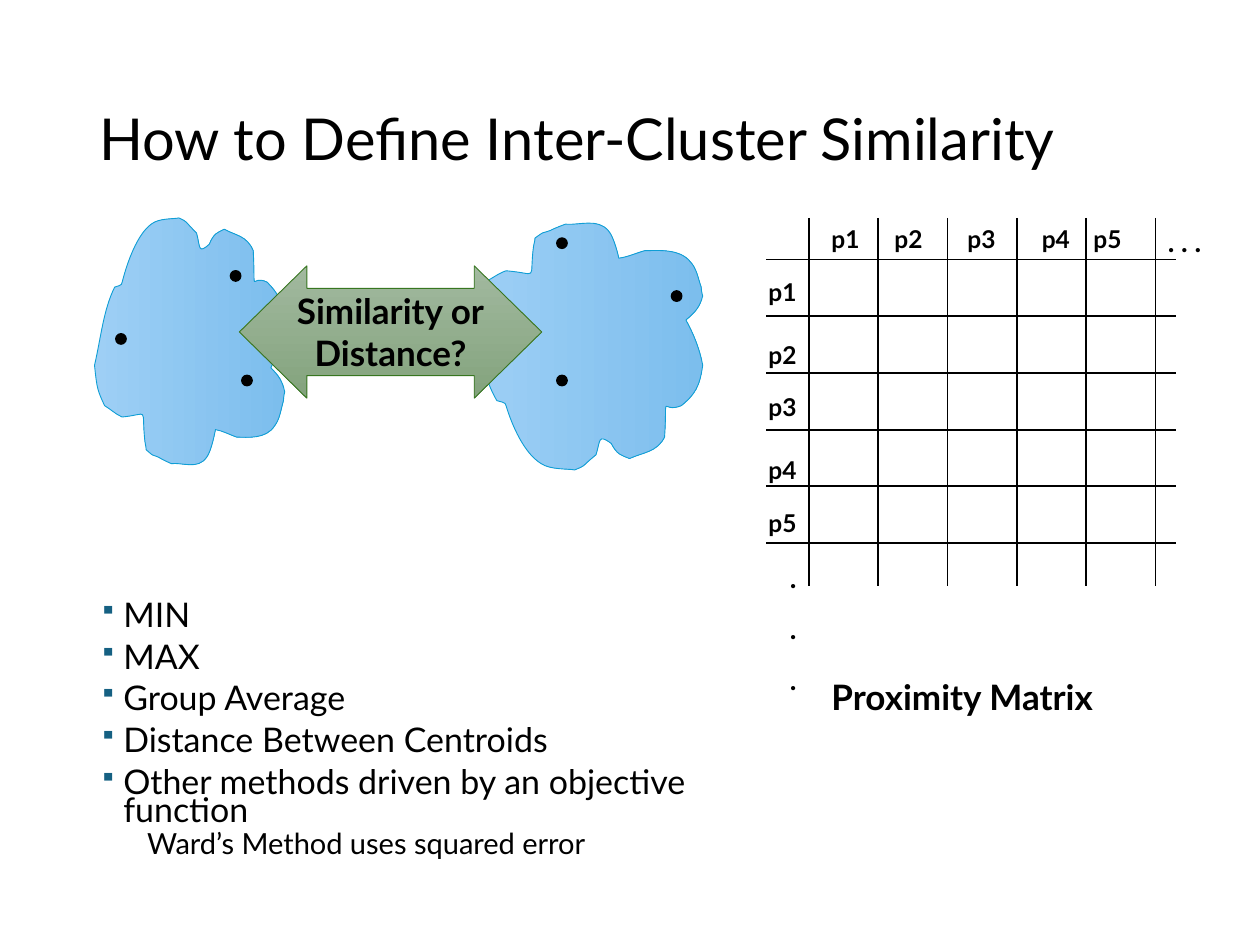
from dataclasses import dataclass

from lxml.etree import SubElement as Sub
from pptx import Presentation
from pptx.dml.color import RGBColor as Rgb
from pptx.enum.shapes import MSO_CONNECTOR as Conn, MSO_SHAPE as Shape
from pptx.enum.text import MSO_ANCHOR as Anchor, PP_ALIGN as Align
from pptx.oxml.ns import qn
from pptx.util import Inches, Pt


@dataclass(frozen=True)
class Theme:
    font: str = "Lato"
    ink: str = "000000"
    bullet: str = "156082"
    blue: tuple = ("9ECFF5", "7CBEED")
    rim: str = "0F9ED5"
    green: tuple = ("A2B99F", "83A37D")
    edge: str = "377620"
    title: float = 33
    body: float = 19.4
    minor: float = 16.6
    label: float = 14
    dots: float = 16
    strong: float = 20


THEME = Theme()
START = (0.91, 2.28)
CURVES = [
    (0.82, 2.46, 0.8, 2.69, 0.75, 2.9),
    (0.77, 3.08, 0.77, 3.09, 0.83, 3.22),
    (0.88, 3.25, 0.92, 3.29, 0.97, 3.31),
    (1.19, 3.29, 1.12, 3.22, 1.15, 3.5),
    (1.15, 3.52, 1.16, 3.54, 1.16, 3.57),
    (1.23, 3.63, 1.19, 3.6, 1.26, 3.63),
    (1.29, 3.65, 1.36, 3.68, 1.36, 3.68),
    (1.45, 3.67, 1.57, 3.73, 1.64, 3.63),
    (1.68, 3.58, 1.71, 3.41, 1.71, 3.41),
    (1.77, 3.42, 1.82, 3.45, 1.88, 3.47),
    (1.96, 3.47, 2.11, 3.49, 2.18, 3.38),
    (2.22, 3.33, 2.23, 3.25, 2.25, 3.18),
    (2.25, 3.15, 2.26, 3.11, 2.26, 3.11),
    (2.24, 3.02, 2.21, 2.98, 2.15, 2.92),
    (2.2, 2.81, 2.24, 2.69, 2.26, 2.56),
    (2.24, 2.39, 2.21, 2.33, 2.12, 2.24),
    (1.98, 2.17, 2.03, 2.38, 2.01, 1.99),
    (1.96, 1.87, 1.87, 1.87, 1.78, 1.82),
    (1.72, 1.85, 1.7, 1.85, 1.66, 1.94),
    (1.57, 2.02, 1.59, 1.96, 1.56, 1.85),
    (1.45, 1.74, 1.5, 1.77, 1.42, 1.73),
    (1.38, 1.74, 1.26, 1.73, 1.2, 1.78),
    (1.09, 1.86, 1.01, 2.08, 0.97, 2.24),
    (0.97, 2.27, 0.93, 2.27, 0.91, 2.28),
]


def add_run(para, text, size, bold=False):
    run = para.add_run()
    run.text = text
    font = run.font
    font.name, font.size, font.bold = THEME.font, Pt(size), bold
    font.color.rgb = Rgb.from_string(THEME.ink)


def add_box(slide, left, top, width, height):
    box = slide.shapes.add_textbox(*map(Inches, (left, top, width, height)))
    box.text_frame.word_wrap = True
    return box.text_frame


def add_label(slide, text, left, top, width=0.58, height=0.34, size=THEME.label):
    frame = add_box(slide, left, top, width, height)
    add_run(frame.paragraphs[0], text, size, True)
    return frame


def add_line(slide, *ends):
    line = slide.shapes.add_connector(Conn.STRAIGHT, *map(Inches, ends))
    line.line.color.rgb = Rgb.from_string(THEME.ink)
    line.line.width = Pt(1)
    Sub(line._element.spPr, qn("a:effectLst"))


def shade(shape, tones, edge, angle):
    shape.shadow.inherit = False
    shape.fill.gradient()
    shape.fill.gradient_angle = angle
    for stop, tone in zip(shape.fill.gradient_stops, tones):
        stop.color.rgb = Rgb.from_string(tone)
    shape.line.color.rgb = Rgb.from_string(edge)
    shape.line.width = Pt(0.5)


def bend(shape):
    legs = list(shape._element.iter(qn("a:lnTo")))
    for i in range(0, len(legs), 3):
        curve = legs[i].makeelement(qn("a:cubicBezTo"))
        legs[i].addprevious(curve)
        for leg in legs[i:i + 3]:
            curve.append(leg[0])
            leg.getparent().remove(leg)


def add_cloud(slide, points):
    spots = [(Inches(x), Inches(y)) for x, y in points]
    pen = slide.shapes.build_freeform(*spots[0], scale=1.0)
    pen.add_line_segments(spots[1:], close=True)
    cloud = pen.convert_to_shape()
    bend(cloud)
    shade(cloud, THEME.blue, THEME.rim, 0)


def add_dot(slide, left, top):
    size = Inches(0.08)
    dot = slide.shapes.add_shape(Shape.OVAL, Inches(left), Inches(top), size, size)
    dot.shadow.inherit = False
    dot.fill.solid()
    dot.fill.fore_color.rgb = dot.line.color.rgb = Rgb.from_string(THEME.ink)
    dot.line.width = Pt(1)


def add_arrow(slide):
    arrow = slide.shapes.add_shape(
        Shape.LEFT_RIGHT_ARROW, *map(Inches, (1.9, 2.11, 2.4, 1.05)))
    arrow.adjustments[0], arrow.adjustments[1] = 0.66, 0.51
    shade(arrow, THEME.green, THEME.edge, 270)
    frame = arrow.text_frame
    frame.word_wrap = False
    frame.vertical_anchor = Anchor.MIDDLE
    para = frame.paragraphs[0]
    para.alignment = Align.CENTER
    add_run(para, "Similarity or", THEME.strong, True)
    para.add_line_break()
    add_run(para, "Distance?", THEME.strong, True)


def add_title(slide, text):
    frame = add_box(slide, 0.69, 0.4, 8.62, 1.45)
    frame.vertical_anchor = Anchor.MIDDLE
    frame.paragraphs[0].line_spacing = 0.9
    add_run(frame.paragraphs[0], text, THEME.title)


def add_list(slide, items, minor):
    frame = add_box(slide, 0.69, 4.75, 5.73, 2.01)
    for i, text in enumerate(items):
        para = frame.add_paragraph() if i else frame.paragraphs[0]
        props = para._p.get_or_add_pPr()
        props.set("marL", str(Inches(0.19)))
        props.set("indent", str(Inches(-0.19)))
        Sub(Sub(props, qn("a:buClr")), qn("a:srgbClr"), val=THEME.bullet)
        Sub(props, qn("a:buSzPct"), val="70000")
        Sub(props, qn("a:buChar"), char="▪")
        para.line_spacing = 0.7
        if i:
            para.space_before = Pt(7.5)
        add_run(para, text, THEME.body)
    para = frame.add_paragraph()
    para.level = 1
    para._p.get_or_add_pPr().set("marL", str(Inches(0.38)))
    para.line_spacing, para.space_before = 0.7, Pt(3.8)
    add_run(para, minor, THEME.minor)


def add_matrix(slide):
    for i in range(6):
        x, y = 6.42 + 0.55 * i, 2.06 + 0.45 * i
        add_line(slide, x, 1.73, x, 4.65)
        add_line(slide, 6.08, y, 9.33, y)
    tops = (2.15, 2.65, 3.06, 3.56, 3.98)
    lefts = (6.5, 7, 7.58, 8.17, 8.58)
    for i, (left, top) in enumerate(zip(lefts, tops), 1):
        add_label(slide, f"p{i}", 6, top)
        add_label(slide, f"p{i}", left, 1.73)
    add_label(slide, ". . .", 9.17, 1.73, height=0.37, size=THEME.dots)
    frame = add_label(slide, ".", 6.17, 4.4, height=1.19, size=THEME.dots)
    for _ in range(2):
        para = frame.add_paragraph()
        para.space_before = Pt(10)
        add_run(para, ".", THEME.dots, True)
    add_label(slide, "Proximity Matrix", 6.5, 5.31, 2.75, 0.44, THEME.strong)


def main():
    deck = Presentation()
    deck.slide_width, deck.slide_height = Inches(10), Inches(7.5)
    slide = deck.slides.add_slide(deck.slide_layouts[6])
    add_title(slide, "How to Define Inter-Cluster Similarity")
    add_list(slide, ["MIN", "MAX", "Group Average", "Distance Between Centroids",
                     "Other methods driven by an objective function"],
             "Ward’s Method uses squared error")
    add_matrix(slide)
    cloud = [START] + [c[i:i + 2] for c in CURVES for i in (0, 2, 4)]
    add_cloud(slide, cloud)
    add_cloud(slide, [(3.75 + 1.21 * (x - 0.75), 5.46 - y) for x, y in cloud])
    for spot in [(1.92, 2.98), (1.83, 2.15), (0.92, 2.65), (2.08, 2.48),
                 (5.33, 2.31), (3.85, 2.3), (4.42, 2.98), (4.42, 1.89)]:
        add_dot(slide, *spot)
    add_arrow(slide)
    deck.save("out.pptx")


if __name__ == "__main__":
    main()
